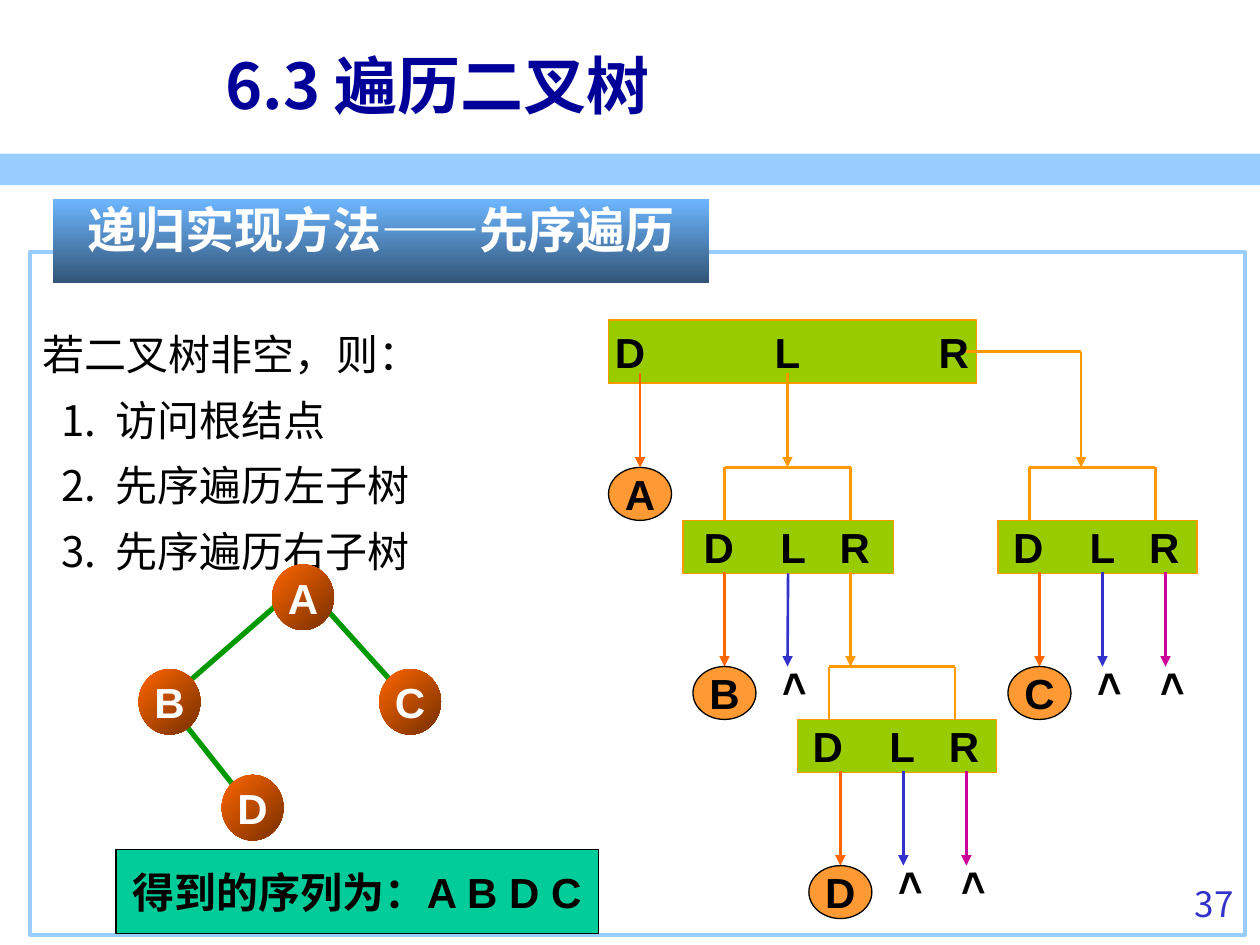
from dataclasses import dataclass

import pptx
import pptx.dml.color
import pptx.enum.shapes
import pptx.enum.text
import pptx.oxml
import pptx.oxml.ns
import pptx.util
from pptx.util import Inches

SHAPE = pptx.enum.shapes.MSO_SHAPE
ALIGN = pptx.enum.text.PP_ALIGN
ANCHOR = pptx.enum.text.MSO_ANCHOR
CJK = "Noto Sans CJK SC"
ORANGE, DEEP_ORANGE, BLUE, MAGENTA = "FF9900", "FF6600", "3333CC", "CC0099"
STEM = 0.75  # length of a downward arrow
ROW = 0.42  # height of a bar, a leaf and a fork


@dataclass
class Node:
    label: str
    left: float
    top: float


@dataclass
class Step:
    """One recursive call: its bar, the fork above it and its arrows."""
    left: float
    top: float
    width: float
    fork_x: float
    drop_x: float
    leaf: str
    right_is_null: bool = True


def rgb(value):
    return pptx.dml.color.RGBColor.from_string(value)


def add_xml(parent, tag: str, **attrs):
    el = pptx.oxml.parse_xml(f"<a:{tag} {pptx.oxml.ns.nsdecls('a')}/>")
    for key, value in attrs.items():
        el.set(key, str(value))
    parent.append(el)
    return el


def style_font(font, size, color, name=CJK, bold=False):
    values = {"size": pptx.util.Pt(size), "bold": bold, "name": name}
    for key, value in values.items():
        setattr(font, key, value)
    font.color.rgb = rgb(color)


def write(sp, lines, size, color, name=CJK, bold=False, align=ALIGN.CENTER,
          anchor=ANCHOR.MIDDLE, wrap=False, inset=(0.1, 0.05)):
    """Fill a shape with one paragraph per line; inset is side, top."""
    tf = sp.text_frame
    side, top = Inches(inset[0]), Inches(inset[1])
    values = {"word_wrap": wrap, "vertical_anchor": anchor, "margin_left": side,
              "margin_right": side, "margin_top": top}
    for key, value in values.items():
        setattr(tf, key, value)
    for i, line in enumerate(lines):
        p = tf.add_paragraph() if i else tf.paragraphs[0]
        p.alignment = align
        r = p.add_run()
        r.text = line
        style_font(r.font, size, color, name, bold)
        add_xml(r.font._element, "ea", typeface=CJK)
    return tf


def box(s, kind, left, top, width, height, fill=None, line=None, weight=0.75):
    """Add a preset shape; a pair of fill colours makes a gradient."""
    sp = s.shapes.add_shape(kind, *map(Inches, (left, top, width, height)))
    sp.shadow.inherit = False
    if isinstance(fill, tuple):
        sp.fill.gradient()
        for stop, color in zip(sp.fill.gradient_stops, fill):
            stop.color.rgb = rgb(color)
    elif fill:
        sp.fill.solid()
        sp.fill.fore_color.rgb = rgb(fill)
    else:
        sp.fill.background()
    if line:
        sp.line.color.rgb = rgb(line)
        sp.line.width = pptx.util.Pt(weight)
    else:
        sp.line.fill.background()
    return sp


def text(s, left, top, width, height, content, size, color, **options):
    sp = s.shapes.add_textbox(*map(Inches, (left, top, width, height)))
    write(sp, [content], size, color, **options)
    return sp


def connect(s, x1, y1, x2, y2, color=ORANGE, weight=1.5, arrow=False):
    cx = s.shapes.add_connector(pptx.enum.shapes.MSO_CONNECTOR.STRAIGHT,
                                *map(Inches, (x1, y1, x2, y2)))
    cx.line.color.rgb = rgb(color)
    cx.line.width = pptx.util.Pt(weight)
    if arrow:
        add_xml(cx.line._get_or_add_ln(), "tailEnd", type="triangle")
    add_xml(cx._element.spPr, "effectLst")
    return cx


def bar(s, left, top, width, height, offsets):
    """Draw a D L R bar, each letter centred at an offset from the middle."""
    sp = box(s, SHAPE.RECTANGLE, left, top, width, height, "99CC00", ORANGE)
    tf = write(sp, ["\tD\tL\tR"], 24, "000000", "Arial", True, ALIGN.LEFT,
               wrap=True, inset=(0, 0.05))
    tabs = add_xml(tf.paragraphs[0]._p.get_or_add_pPr(), "tabLst")
    for offset in offsets:
        add_xml(tabs, "tab", pos=int(Inches(width / 2 + offset)), algn="ctr")
    return sp


def leaf(s, x, top, label):
    sp = box(s, SHAPE.OVAL, x - 0.25, top, 0.5, ROW, "FF9933", "000000")
    write(sp, [label], 24, "000000", "Arial", True)
    return sp


def null_mark(s, x, top):
    sp = text(s, x - 0.21, top - 0.12, 0.42, 0.5, ">", 24, "000000", name="Arial",
              bold=True, align=ALIGN.LEFT, anchor=ANCHOR.TOP, wrap=True, inset=(0.1, 0.08))
    sp.rotation = 268.3


def draw_step(s, step: Step):
    fork_y = step.top - ROW
    ends = (step.fork_x - 0.5, step.fork_x + 0.5)
    connect(s, ends[0], fork_y, ends[1], fork_y)
    for x in ends:
        connect(s, x, fork_y, x, step.top)
    sp = bar(s, step.left, step.top, step.width, ROW, (-0.55, 0.04, 0.53))
    start = step.top + ROW - 0.01
    tip = start + STEM
    last = MAGENTA if step.right_is_null else ORANGE
    for i, color in enumerate((DEEP_ORANGE, BLUE, last)):
        x = step.drop_x + (i - 1) * 0.5
        cx = connect(s, x, start, x, tip, color, arrow=True)
        if abs(step.left + step.width / 2 - x) < 0.02:
            cx.begin_connect(sp, 2)
        if i == 0:
            cx.end_connect(leaf(s, x, tip, step.leaf), 0)
        elif i == 1 or step.right_is_null:
            null_mark(s, x, tip)


def draw_frame(s):
    box(s, SHAPE.RECTANGLE, 0, 1.22, 10, 0.25, "99CCFF")
    text(s, 8.94, 6.98, 0.95, 0.52, "37", 20, BLUE, align=ALIGN.RIGHT,
         anchor=ANCHOR.TOP, inset=(0.1, 0.02), wrap=True)
    text(s, 1.69, 0.21, 8.19, 0.92, "6.3 遍历二叉树", 36, "000099", bold=True,
         align=ALIGN.LEFT, wrap=True)
    sp = box(s, SHAPE.RECTANGLE, 0.24, 2, 9.64, 5.42, line="99CCFF", weight=2.25)
    lines = ["若二叉树非空，则：", "访问根结点", "先序遍历左子树", "先序遍历右子树"]
    tf = write(sp, lines, 24, "000000", align=ALIGN.LEFT, anchor=ANCHOR.TOP,
               wrap=True, inset=(0.1, 0.49))
    for i, p in enumerate(tf.paragraphs):
        p.line_spacing = pptx.util.Pt(37.4)
        if i:
            pPr = p._p.get_or_add_pPr()
            pPr.set("marL", str(int(Inches(0.58))))
            pPr.set("indent", str(int(Inches(-0.43))))
            add_xml(pPr, "buFont", typeface=CJK)
            add_xml(pPr, "buAutoNum", type="arabicPeriod")


def draw_binary_tree(s):
    for edge in ((2.55, 4.79, 3.1, 5.4), (2.29, 4.72, 1.51, 5.4), (1.28, 5.51, 1.85, 6.23)):
        connect(s, *edge, color="009900", weight=3)
    for node in (Node("A", 2.16, 4.48), Node("B", 1.1, 5.31),
                 Node("C", 3.01, 5.31), Node("D", 1.76, 6.15)):
        sp = box(s, SHAPE.OVAL, node.left, node.top, 0.49, 0.52, ("FF6600", "762F00"))
        sp.fill.gradient_angle = 315
        write(sp, [node.label], 24, "FFFFFF", "Arial", True)


def draw_traversal(s):
    bar(s, 4.83, 2.54, 2.92, 0.5, (-1.29, -0.04, 1.28))
    cx = connect(s, 5.08, 2.96, 5.08, 3.71, DEEP_ORANGE, arrow=True)
    cx.end_connect(leaf(s, 5.08, 3.71, "A"), 0)
    connect(s, 7.67, 2.79, 8.58, 2.79)
    for x, y1, y2 in ((6.25, 2.96, 3.71), (8.58, 2.79, 3.71)):
        connect(s, x, y1, x, y2, arrow=True)
    for step in (Step(5.42, 4.13, 1.67, 6.25, 6.25, "B", right_is_null=False),
                 Step(6.33, 5.71, 1.58, 7.08, 7.17, "D"),
                 Step(7.92, 4.13, 1.58, 8.67, 8.75, "C")):
        draw_step(s, step)


def main():
    prs = pptx.Presentation()
    prs.slide_width, prs.slide_height = Inches(10), Inches(7.5)
    s = prs.slides.add_slide(prs.slide_layouts[6])
    draw_frame(s)
    draw_binary_tree(s)
    draw_traversal(s)
    sp = box(s, SHAPE.RECTANGLE, 0.92, 6.74, 3.83, 0.67, "00CC99", "000000")
    write(sp, ["得到的序列为：A B D C"], 24, "000000", "Arial", True)
    sp = box(s, SHAPE.RECTANGLE, 0.42, 1.58, 5.21, 0.67, ("6DB6FF", "325476"))
    sp.fill.gradient_angle = 270
    write(sp, ["递归实现方法——先序遍历"], 28, "FFFFFF", bold=True,
          anchor=ANCHOR.TOP, wrap=True, inset=(0.1, 0))
    prs.save("out.pptx")


if __name__ == "__main__":
    main()
